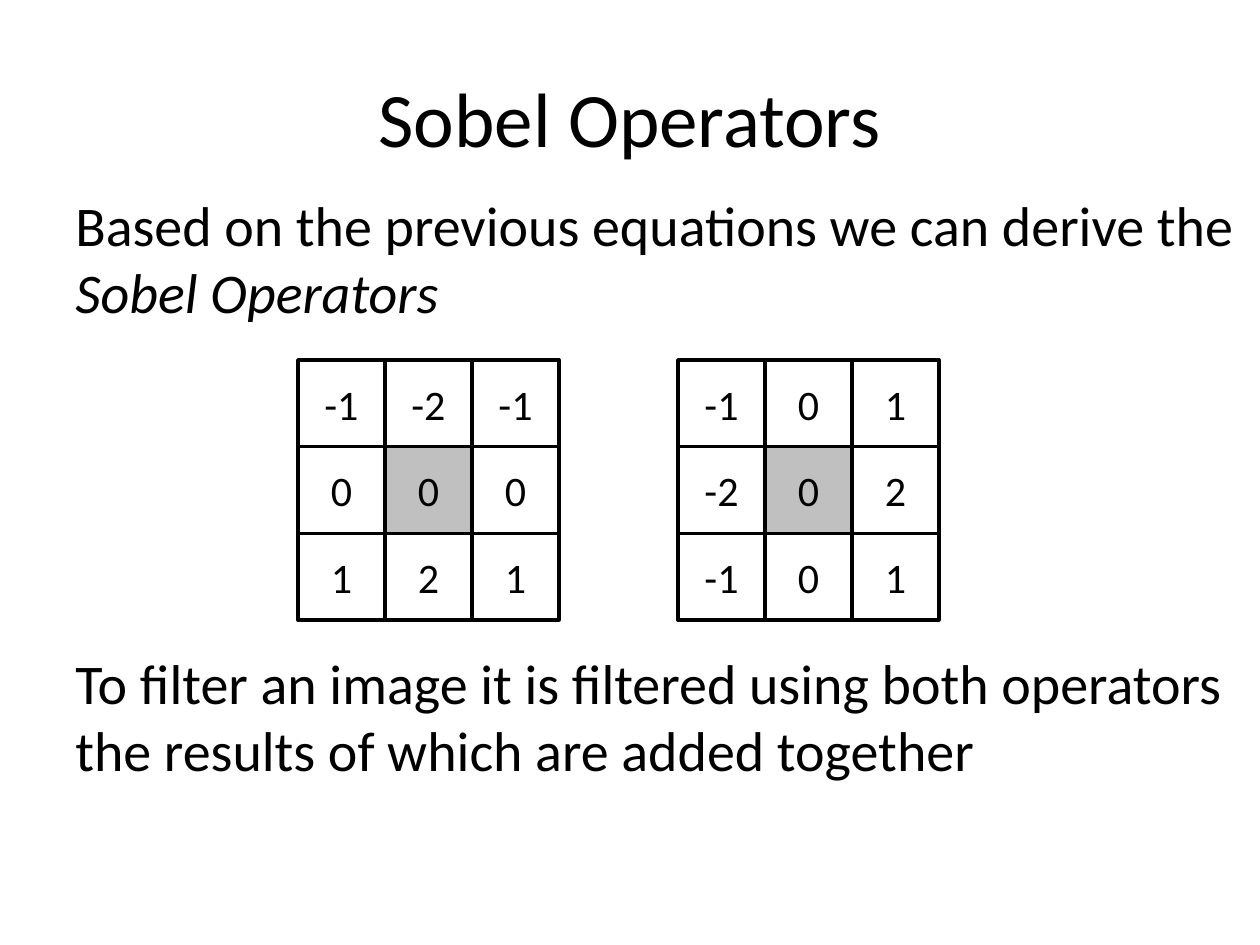
import pptx
import pptx.dml.color
import pptx.enum.shapes
import pptx.enum.text
import pptx.util

EMU_PER_PX = 914400 / 126
BLACK = pptx.dml.color.RGBColor(0x00, 0x00, 0x00)
WHITE = pptx.dml.color.RGBColor(0xFF, 0xFF, 0xFF)
GREY = pptx.dml.color.RGBColor(0xC0, 0xC0, 0xC0)
CENTER = pptx.enum.text.PP_ALIGN.CENTER
MIDDLE = pptx.enum.text.MSO_ANCHOR.MIDDLE

TITLE_FORMAT = {"name": "Calibri", "size": pptx.util.Pt(44)}
BODY_FORMAT = {"name": "Calibri", "size": pptx.util.Pt(32)}
NAME_FORMAT = {**BODY_FORMAT, "italic": True}
WEIGHT_FORMAT = {"name": "Calibri", "size": pptx.util.Pt(24)}

HORIZONTAL_EDGES = [[-1, -2, -1], [0, 0, 0], [1, 2, 1]]
VERTICAL_EDGES = [[-1, 0, 1], [-2, 0, 2], [-1, 0, 1]]


def px(*lengths):
    return [pptx.util.Emu(round(length * EMU_PER_PX)) for length in lengths]


def add_words(paragraph, words, formats):
    run = paragraph.add_run()
    run.text = words
    for attribute, value in formats.items():
        setattr(run.font, attribute, value)
    run.font.color.rgb = BLACK


def add_title(slide, box):
    frame = slide.shapes.add_textbox(*px(*box)).text_frame
    frame.word_wrap = True
    frame.vertical_anchor = MIDDLE
    heading = frame.paragraphs[0]
    heading.alignment = CENTER
    add_words(heading, "Sobel Operators", TITLE_FORMAT)


def add_explanation(slide, box):
    frame = slide.shapes.add_textbox(*px(*box)).text_frame
    frame.word_wrap = True
    derivation = frame.paragraphs[0]
    add_words(derivation, "Based on the previous equations we can derive the ", BODY_FORMAT)
    add_words(derivation, "Sobel Operators", NAME_FORMAT)
    usage = frame.add_paragraph()
    usage.space_before = pptx.util.Pt(185)
    add_words(
        usage,
        "To filter an image it is filtered using both operators "
        "the results of which are added together",
        BODY_FORMAT,
    )


def add_operator(slide, box, weights):
    left, top, width, height = box
    cell_width, cell_height = width / 3, height / 3
    operator = slide.shapes.add_group_shape()
    for row, row_weights in enumerate(weights):
        for column, weight in enumerate(row_weights):
            cell = operator.shapes.add_shape(
                pptx.enum.shapes.MSO_SHAPE.RECTANGLE,
                *px(left + column * cell_width, top + row * cell_height, cell_width, cell_height),
            )
            cell.shadow.inherit = False
            cell.fill.solid()
            cell.fill.fore_color.rgb = GREY if row == column == 1 else WHITE
            cell.line.color.rgb = BLACK
            cell.line.width = pptx.util.Pt(2)
            cell.text_frame.word_wrap = False
            cell.text_frame.vertical_anchor = MIDDLE
            label = cell.text_frame.paragraphs[0]
            label.alignment = CENTER
            add_words(label, str(weight), WEIGHT_FORMAT)


def main():
    deck = pptx.Presentation()
    deck.slide_width, deck.slide_height = px(1260, 945)
    slide = deck.slides.add_slide(deck.slide_layouts[6])
    add_title(slide, (63, 38, 1134, 157))
    add_explanation(slide, (63, 184, 1197, 761))
    add_operator(slide, (298, 360, 261, 260), HORIZONTAL_EDGES)
    add_operator(slide, (678, 360, 261, 260), VERTICAL_EDGES)
    deck.save("out.pptx")


if __name__ == "__main__":
    main()
